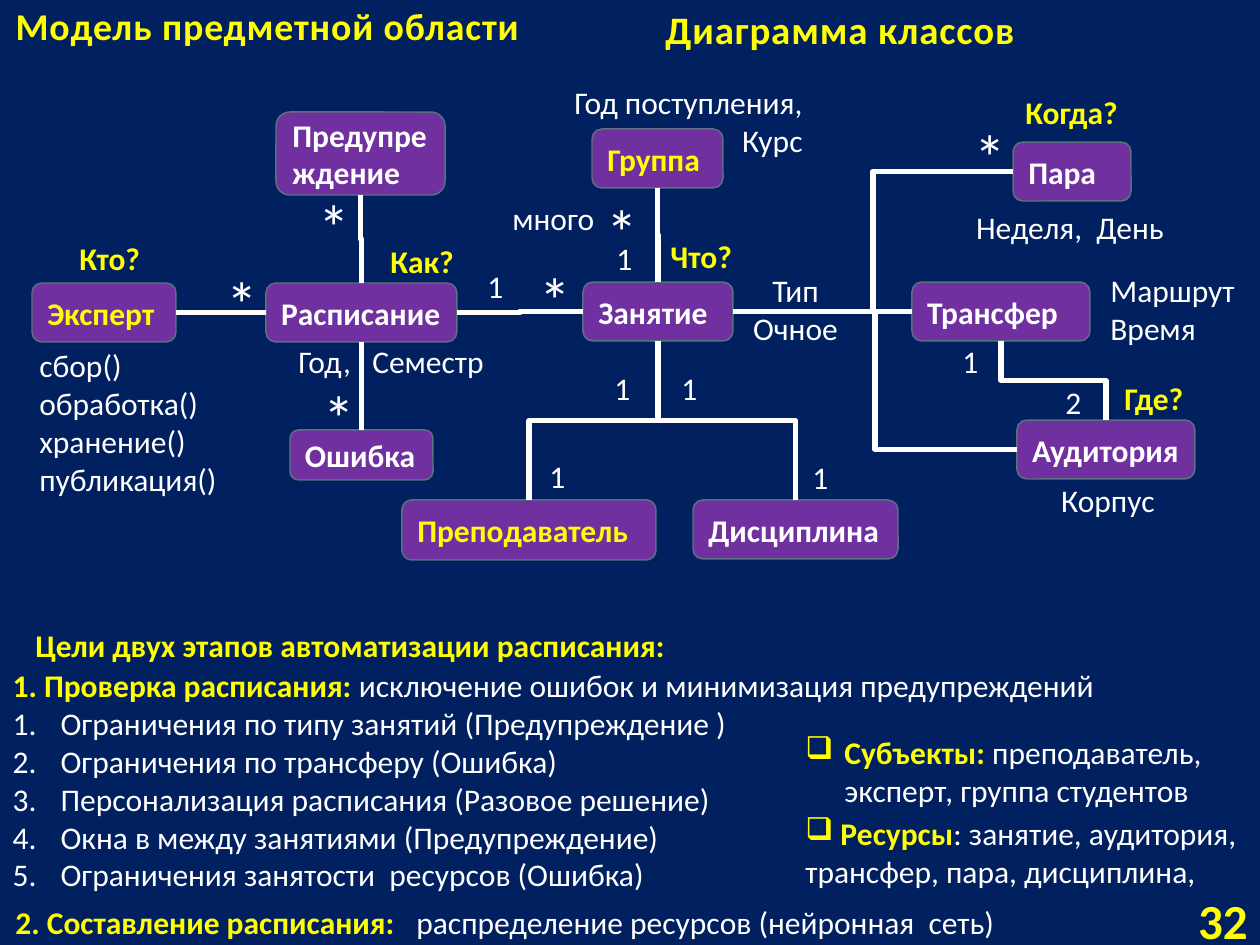
from lxml.etree import SubElement
from pptx import Presentation
from pptx.dml.color import RGBColor
from pptx.enum.shapes import MSO_CONNECTOR, MSO_SHAPE
from pptx.enum.text import MSO_ANCHOR, MSO_AUTO_SIZE, PP_ALIGN
from pptx.oxml.ns import qn
from pptx.util import Emu, Pt

PX = 914400 / 126
NAVY, PURPLE, EDGE = "002060", "7030A0", "5D7080"
YELLOW, WHITE = "FFFF00", "FFFFFF"
TOP, LEFT, BOTTOM, RIGHT = range(4)

# name: left, top, width, height, text colour
CLASSES = {
    "Группа": (592, 129, 131, 59, YELLOW),
    "Преподаватель": (402, 500, 254, 60, YELLOW),
    "Аудитория": (1017, 420, 178, 59, WHITE),
    "Расписание": (266, 283, 191, 59, WHITE),
    "Дисциплина": (693, 500, 205, 59, WHITE),
    "Пара": (1013, 142, 118, 59, WHITE),
    "Трансфер": (912, 282, 178, 59, WHITE),
    "Занятие": (583, 282, 150, 59, WHITE),
    "Ошибка": (290, 430, 143, 50, WHITE),
    "Предупреждение": (276, 112, 169, 83, WHITE),
    "Эксперт": (32, 283, 144, 59, YELLOW),
}
# Vertical relations run from the upper class to the lower one
RELATIONS = [
    ("Группа", BOTTOM, "Занятие", TOP),
    ("Занятие", BOTTOM, "Преподаватель", TOP),
    ("Занятие", BOTTOM, "Дисциплина", TOP),
    ("Предупреждение", BOTTOM, "Расписание", TOP),
    ("Расписание", BOTTOM, "Ошибка", TOP),
    ("Трансфер", BOTTOM, "Аудитория", TOP),
    ("Занятие", RIGHT, "Аудитория", LEFT),
    ("Занятие", RIGHT, "Пара", LEFT),
    ("Занятие", RIGHT, "Трансфер", LEFT),
    ("Расписание", RIGHT, "Занятие", LEFT),
    ("Эксперт", RIGHT, "Расписание", LEFT),
]
QUESTIONS = [("Как?", 378, 236), ("Когда?", 1013, 87), ("Где?", 1112, 373),
             ("Что?", 658, 231), ("Кто?", 67, 233)]
MANY = [(523, 254), (590, 186), (958, 111), (302, 181), (307, 372), (210, 258)]
COUNTS = [("1", 475, 261), ("1", 604, 233), ("1", 669, 363), ("1", 800, 452),
          ("1", 602, 363), ("1", 537, 451), ("1", 950, 336), ("2", 1053, 377)]
# lines, left, top, width, alignment
ATTRIBUTES = [
    (["много"], 500, 193, 110, PP_ALIGN.LEFT),
    (["Год поступления,", "Курс"], 532, 77, 283, PP_ALIGN.RIGHT),
    (["Неделя,  День"], 945, 202, 250, PP_ALIGN.CENTER),
    (["Корпус"], 1019, 475, 178, PP_ALIGN.CENTER),
    (["Год,"], 286, 336, 85, PP_ALIGN.LEFT),
    (["Семестр"], 360, 336, 150, PP_ALIGN.LEFT),
    (["Тип", "Очное"], 697, 265, 197, PP_ALIGN.CENTER),
    (["Маршрут", "Время"], 1098, 265, 155, PP_ALIGN.LEFT),
    (["сбор()", "обработка()", "хранение()", "публикация()"],
     27, 340, 217, PP_ALIGN.LEFT),
]
CHECKS = ["Ограничения по типу занятий (Предупреждение )",
          "Ограничения по трансферу (Ошибка)",
          "Персонализация расписания (Разовое решение)",
          "Окна в между занятиями (Предупреждение)",
          "Ограничения занятости  ресурсов (Ошибка)"]


def px(length):
    return Emu(round(length * PX))


def rgb(colour):
    return RGBColor.from_string(colour)


def style(font, colour, size=18, bold=False):
    font.name, font.size, font.bold = "Calibri", Pt(size), bold
    font.color.rgb = rgb(colour)


def set_list(paragraph, tag, indent=0, **attributes):
    """Give a paragraph a bullet, a number or no marker, with a hanging indent."""
    properties = paragraph._p.get_or_add_pPr()
    properties.set("marL", str(px(indent)))
    properties.set("indent", str(-px(indent)))
    SubElement(properties, qn("a:" + tag), attributes)


def add_heading_and_text(paragraph, heading, text):
    for words, colour, bold in ((heading, YELLOW, True), (text, WHITE, False)):
        run = paragraph.add_run()
        run.text = words
        style(run.font, colour, bold=bold)


def add_box(slide, left, top, width, height):
    frame = slide.shapes.add_textbox(px(left), px(top), px(width), px(height)).text_frame
    frame.word_wrap = True
    return frame


def add_label(slide, lines, left, top, width, colour=WHITE, size=18, bold=False,
              align=PP_ALIGN.LEFT):
    frame = add_box(slide, left, top, width, 12 + round(2.1 * size * len(lines)))
    frame.text = "\n".join(lines)
    for paragraph in frame.paragraphs:
        paragraph.alignment = align
        style(paragraph.font, colour, size, bold)
    return frame


def set_spaced_heading(frame, text, size):
    frame.word_wrap = False
    frame.auto_size = MSO_AUTO_SIZE.NONE
    frame.vertical_anchor = MSO_ANCHOR.MIDDLE
    frame.text = text
    paragraph = frame.paragraphs[0]
    paragraph.alignment = PP_ALIGN.LEFT
    style(paragraph.font, YELLOW, size, True)
    paragraph.runs[0].font._rPr.set("spc", "50")


def add_class(slide, name, left, top, width, height, colour):
    box = slide.shapes.add_shape(MSO_SHAPE.ROUNDED_RECTANGLE,
                                 px(left), px(top), px(width), px(height))
    box.shadow.inherit = False
    box.fill.solid()
    box.fill.fore_color.rgb = rgb(PURPLE)
    box.line.color.rgb = rgb(EDGE)
    box.line.width = Pt(0.85)
    box.text_frame.text = name
    paragraph = box.text_frame.paragraphs[0]
    paragraph.alignment = PP_ALIGN.LEFT
    style(paragraph.font, colour, bold=True)
    return box


def add_relation(slide, start, start_side, end, end_side):
    link = slide.shapes.add_connector(MSO_CONNECTOR.ELBOW, 0, 0, 0, 0)
    link.begin_connect(start, start_side)
    link.end_connect(end, end_side)
    link.line.color.rgb = rgb(WHITE)
    link.line.width = Pt(3)
    SubElement(link._element.spPr, qn("a:effectLst"))
    if start_side == BOTTOM:  # turn the elbow so that it leaves downwards
        rightward = link.end_x >= link.begin_x
        width, height = link.width, link.height
        link.left += (width - height) // 2
        link.top += (height - width) // 2
        link.width, link.height = height, width
        frame = link._element.spPr.find(qn("a:xfrm"))
        frame.set("rot", "16200000" if rightward else "5400000")
        frame.set("flipH", "1" if rightward else "0")


def fill_checks(body):
    body.left, body.top, body.width, body.height = px(0), px(660), px(1256), px(242)
    frame = body.text_frame
    frame.auto_size = MSO_AUTO_SIZE.NONE
    heading = frame.paragraphs[0]
    set_list(heading, "buNone")
    add_heading_and_text(heading, "1. Проверка расписания:",
                         " исключение ошибок и минимизация предупреждений")
    for check in CHECKS:
        item = frame.add_paragraph()
        item.text = check
        set_list(item, "buAutoNum", 48, type="arabicPeriod")
        style(item.font, WHITE)
    for paragraph in frame.paragraphs:
        paragraph.space_before = Pt(0)


def main():
    deck = Presentation()
    deck.slide_width, deck.slide_height = px(1260), px(945)
    slide = deck.slides.add_slide(deck.slide_layouts[1])
    slide.background.fill.solid()
    slide.background.fill.fore_color.rgb = rgb(NAVY)

    # Headings
    title = slide.shapes.title
    title.left, title.top, title.width, title.height = px(3), px(3), px(546), px(45)
    set_spaced_heading(title.text_frame, "Модель предметной области", 21.6)
    set_spaced_heading(add_box(slide, 653, 0, 359, 57), "Диаграмма классов", 22.2)

    # Class diagram
    boxes = {name: add_class(slide, name, *place) for name, place in CLASSES.items()}
    for start, start_side, end, end_side in RELATIONS:
        add_relation(slide, boxes[start], start_side, boxes[end], end_side)
    for question, left, top in QUESTIONS:
        add_label(slide, [question], left, top, 130, YELLOW, bold=True)
    for left, top in MANY:
        add_label(slide, ["*"], left + 4, top, 50, size=36)
    for count, left, top in COUNTS:
        add_label(slide, [count], left, top, 43)
    for lines, left, top, width, align in ATTRIBUTES:
        add_label(slide, lines, left, top, width, align=align)

    # Goals of the two stages
    add_label(slide, ["Цели двух этапов автоматизации расписания:"],
              23, 620, 714, YELLOW, bold=True)
    fill_checks(slide.placeholders[1])
    second = add_box(slide, 3, 897, 1067, 50).paragraphs[0]
    tabs = SubElement(second._p.get_or_add_pPr(), qn("a:tabLst"))
    SubElement(tabs, qn("a:tab"), pos=str(px(401)), algn="l")
    add_heading_and_text(second, "2. Составление расписания:",
                         "\tраспределение ресурсов (нейронная  сеть)")

    # Subjects and resources
    subjects = add_box(slide, 793, 727, 426, 89).paragraphs[0]
    set_list(subjects, "buChar", 39, char="❑")
    add_heading_and_text(subjects, "Субъекты: ", "преподаватель, эксперт, группа студентов")
    resources = add_box(slide, 793, 808, 467, 89).paragraphs[0]
    set_list(resources, "buChar", char="❑")
    add_heading_and_text(resources, " Ресурсы",
                         ": занятие, аудитория, трансфер, пара, дисциплина,")

    # Slide number
    number = add_label(slide, ["32"], 1140, 884, 120, YELLOW, 28, True, PP_ALIGN.RIGHT)
    number.vertical_anchor = MSO_ANCHOR.MIDDLE

    deck.save("out.pptx")


if __name__ == "__main__":
    main()
